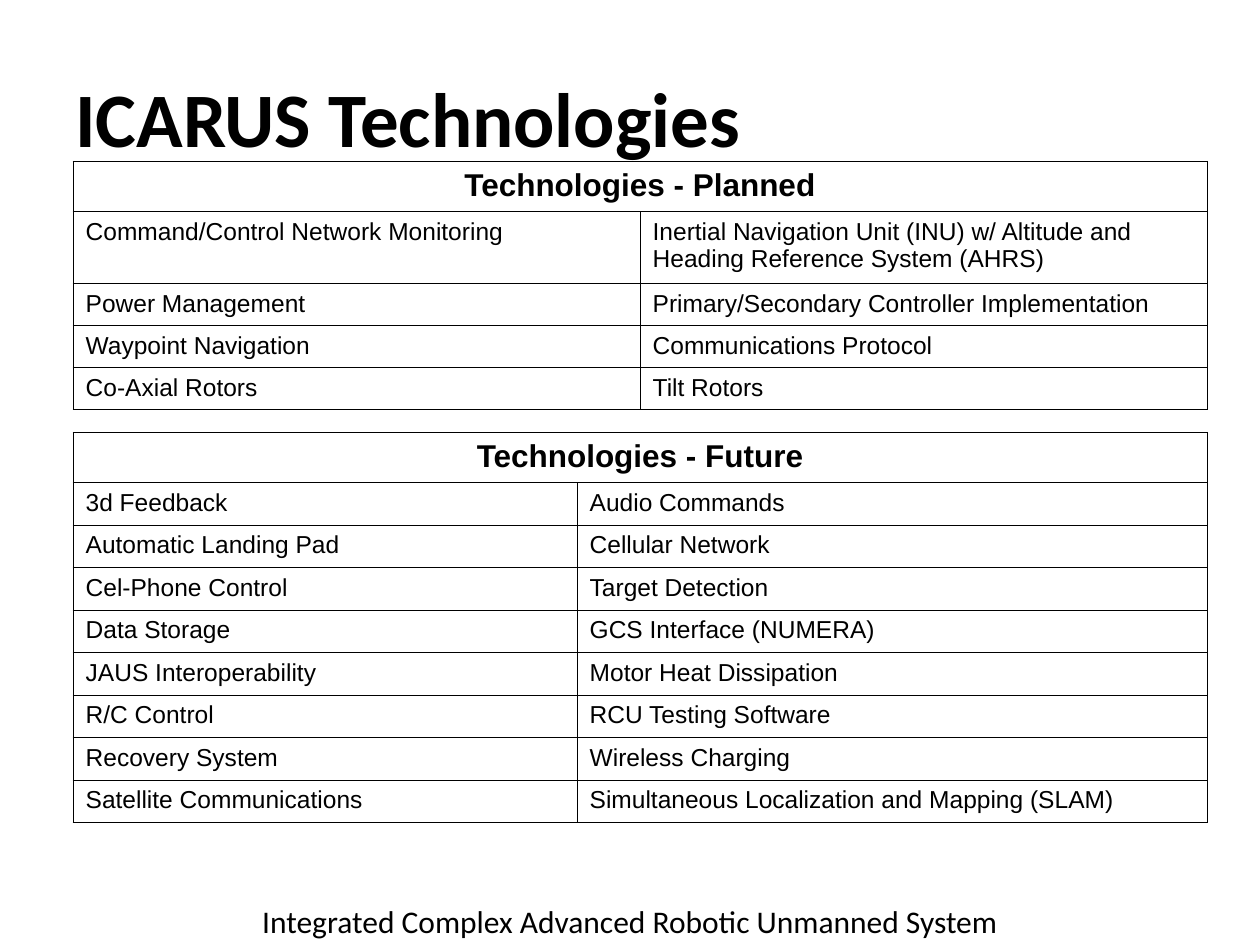
from lxml.etree import SubElement
from pptx import Presentation
from pptx.dml.color import RGBColor
from pptx.enum.text import MSO_ANCHOR, PP_ALIGN
from pptx.oxml.ns import qn
from pptx.util import Inches, Pt

BLACK = RGBColor(0x00, 0x00, 0x00)
HEADER_HEIGHT = 0.4
TABLE_LEFT = 0.58

PLANNED = [
    ("Command/Control Network Monitoring",
     "Inertial Navigation Unit (INU) w/ Altitude and Heading Reference System (AHRS)"),
    ("Power Management", "Primary/Secondary Controller Implementation"),
    ("Waypoint Navigation", "Communications Protocol"),
    ("Co-Axial Rotors", "Tilt Rotors"),
]
FUTURE = [
    ("3d Feedback", "Audio Commands"),
    ("Automatic Landing Pad", "Cellular Network"),
    ("Cel-Phone Control", "Target Detection"),
    ("Data Storage", "GCS Interface (NUMERA)"),
    ("JAUS Interoperability", "Motor Heat Dissipation"),
    ("R/C Control", "RCU Testing Software"),
    ("Recovery System", "Wireless Charging"),
    ("Satellite Communications", "Simultaneous Localization and Mapping (SLAM)"),
]


class SlideBuilder:
    def __init__(self, slide, text_font, table_font, color):
        self.slide = slide
        self.text_font = text_font
        self.table_font = table_font
        self.color = color

    def style(self, paragraph, font_name, size, bold, alignment):
        paragraph.alignment = alignment
        font = paragraph.font
        font.name = font_name
        font.size = Pt(size)
        font.bold = bold
        font.color.rgb = self.color

    def text(self, content, left, top, width, height, size, bold=False,
             alignment=PP_ALIGN.LEFT, anchor=MSO_ANCHOR.TOP):
        box = self.slide.shapes.add_textbox(
            Inches(left), Inches(top), Inches(width), Inches(height))
        frame = box.text_frame
        frame.word_wrap = True
        frame.vertical_anchor = anchor
        frame.text = content
        self.style(frame.paragraphs[0], self.text_font, size, bold, alignment)

    def border(self, cell):
        """Draw a thin line on all four sides of the cell."""
        properties = cell._tc.get_or_add_tcPr()
        for position, side in enumerate(("a:lnL", "a:lnR", "a:lnT", "a:lnB")):
            line = properties.makeelement(qn(side), {"w": str(Pt(0.45))})
            fill = SubElement(line, qn("a:solidFill"))
            SubElement(fill, qn("a:srgbClr"), val=str(self.color))
            properties.insert(position, line)

    def table(self, heading, rows, top, column_widths, row_heights):
        """Add a table with one heading cell across all columns."""
        heights = [HEADER_HEIGHT, *row_heights]
        table = self.slide.shapes.add_table(
            len(heights), len(column_widths), Inches(TABLE_LEFT), Inches(top),
            Inches(sum(column_widths)), Inches(sum(heights))).table
        for column, width in zip(table.columns, column_widths):
            column.width = Inches(width)
        for row, height in zip(table.rows, heights):
            row.height = Inches(height)
        for cell in table.iter_cells():
            cell.fill.background()
            self.border(cell)
        table.cell(0, 0).merge(table.cell(0, len(column_widths) - 1))
        self.cell_text(table.cell(0, 0), heading, 18, True, PP_ALIGN.CENTER)
        for row_index, row in enumerate(rows, start=1):
            for column_index, content in enumerate(row):
                self.cell_text(table.cell(row_index, column_index), content, 14)

    def cell_text(self, cell, content, size, bold=False, alignment=PP_ALIGN.LEFT):
        cell.text = content
        self.style(cell.text_frame.paragraphs[0], self.table_font, size, bold, alignment)


def main():
    presentation = Presentation()
    presentation.slide_width = Inches(10)
    presentation.slide_height = Inches(7.5)
    slide = presentation.slides.add_slide(presentation.slide_layouts[6])
    builder = SlideBuilder(slide, "Calibri", "Arial", BLACK)

    builder.text("ICARUS Technologies", 0.5, 0.3, 9, 1.25, 44, bold=True,
                 anchor=MSO_ANCHOR.MIDDLE)
    builder.text("Integrated Complex Advanced Robotic Unmanned System",
                 0, 7.11, 10, 0.4, 18, alignment=PP_ALIGN.CENTER)
    builder.table("Technologies - Planned", PLANNED, 1.28, (4.5, 4.5),
                  [0.57] + [0.33] * (len(PLANNED) - 1))
    future_row_height = (3.1 - HEADER_HEIGHT) / len(FUTURE)
    builder.table("Technologies - Future", FUTURE, 3.43, (4, 5),
                  [future_row_height] * len(FUTURE))

    presentation.save("out.pptx")


if __name__ == "__main__":
    main()
